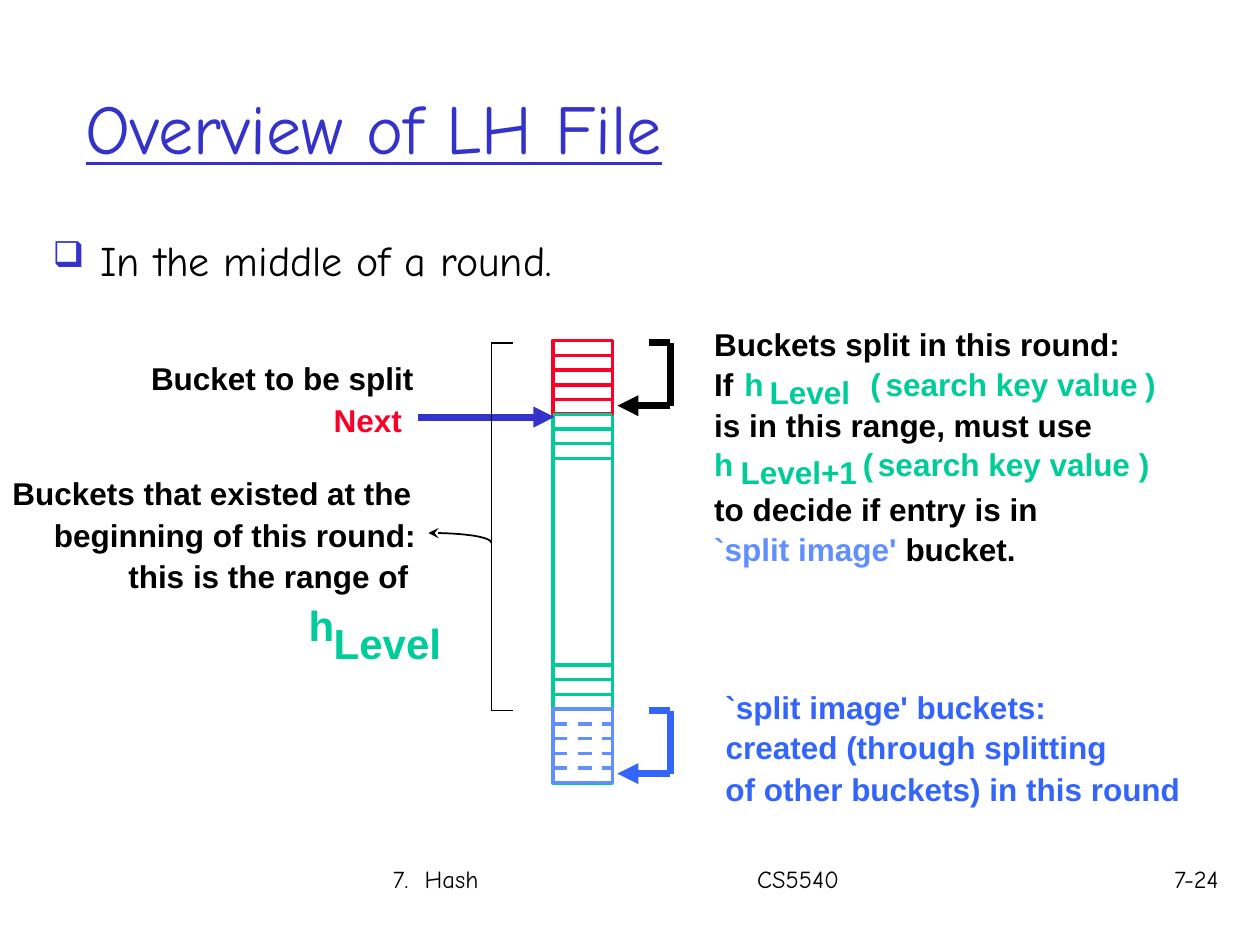
import itertools
import pptx
import pptx.util
import pptx.dml.color
import pptx.enum.dml
import pptx.enum.shapes
import pptx.enum.text
import pptx.oxml
import pptx.oxml.ns

THEME = {
    "black": "000000", "indigo": "3333CC", "green": "00CC99",
    "red": "FC0128", "blue": "3365FB", "sky": "618FFD",
    "heading font": "Comic Neue", "label font": "Arial",
    "title": 40, "body": 24, "symbol": 24, "label": 18, "footer": 14,
    "thin": 1, "bucket": 2, "thick": 4,
}
UNIT = pptx.util.Inches(0.1)  # the slide is a grid of 100 columns by 75 rows
LEFT = pptx.enum.text.PP_ALIGN.LEFT
RIGHT = pptx.enum.text.PP_ALIGN.RIGHT


def write(shape, text, size, color, font="heading font", align=LEFT):
    shape.text_frame.text = text
    paragraph = shape.text_frame.paragraphs[0]
    paragraph.alignment = align
    for run in paragraph.runs:
        run.font.name = THEME[font]
        run.font.size = pptx.util.Pt(THEME[size])
        run.font.bold = font == "label font"
        run.font.color.rgb = pptx.dml.color.RGBColor.from_string(THEME[color])
    return paragraph


def draw_path(points, color, weight, arrow=False):
    """Join the points with straight lines; an arrow sits at the last point."""
    for start, end in itertools.pairwise(points):
        line = slide.shapes.add_connector(
            pptx.enum.shapes.MSO_CONNECTOR.STRAIGHT,
            *(int(value * UNIT) for value in (*start, *end)))
        line.line.color.rgb = pptx.dml.color.RGBColor.from_string(THEME[color])
        line.line.width = pptx.util.Pt(THEME[weight])
        line._element.spPr.append(pptx.oxml.parse_xml(
            f"<a:effectLst {pptx.oxml.ns.nsdecls('a')}/>"))
        if arrow and end == points[-1]:
            line.line._get_or_add_ln().append(pptx.oxml.parse_xml(
                f"<a:tailEnd {pptx.oxml.ns.nsdecls('a')} type='triangle'/>"))
    return line


presentation = pptx.Presentation()
presentation.slide_width = 100 * UNIT
presentation.slide_height = 75 * UNIT
slide = presentation.slides.add_slide(presentation.slide_layouts[5])

# Title, bullet line and footer
title = slide.shapes.title
title.left, title.top, title.width, title.height = (
    int(value * UNIT) for value in (5.8, 5.1, 85, 9.9))
title.text_frame.vertical_anchor = pptx.enum.text.MSO_ANCHOR.MIDDLE
write(title, "Overview of LH File", "title", "indigo").runs[0].font.underline = True

page_texts = [
    ("In the middle of a round.", (3.2, 18.1, 91.7, 10.8), "body", LEFT),
    ("7.  Hash\tCS5540", (30.2, 68.1, 59.9, 5), "footer", LEFT),
    ("7-24", (90.3, 68.1, 7.4, 5), "footer", RIGHT),
]
paragraphs = []
for text, area, size, align in page_texts:
    box = slide.shapes.add_textbox(*(int(value * UNIT) for value in area))
    box.text_frame.word_wrap = True
    paragraphs.append(write(box, text, size, "black", align=align))

bullet, footer, page_number = paragraphs
bullet.space_before = pptx.util.Pt(6)
bullet_properties = bullet._p.get_or_add_pPr()
bullet_properties.set("marL", str(int(3.8 * UNIT)))
bullet_properties.set("indent", str(int(-3.8 * UNIT)))
for tag in (f"buClr {pptx.oxml.ns.nsdecls('a')}><a:srgbClr val='{THEME['indigo']}'/></a:buClr",
            f"buSzPct {pptx.oxml.ns.nsdecls('a')} val='85000'/",
            f"buChar {pptx.oxml.ns.nsdecls('a')} char='❑'/"):
    bullet_properties.append(pptx.oxml.parse_xml(f"<a:{tag}>"))
footer._p.get_or_add_pPr().append(pptx.oxml.parse_xml(
    f"<a:tabLst {pptx.oxml.ns.nsdecls('a')}>"
    f"<a:tab pos='{int(28.9 * UNIT)}' algn='l'/></a:tabLst>"))

# Labels: text, left, top, width, colour
labels = [
    ("Bucket to be split", 11, 28, 23.5, "black"),
    ("Next", 25.5, 31.3, 7.4, "red"),
    ("Buckets that existed at the", 0, 37.1, 33.7, "black"),
    ("beginning of this round:", 3.3, 40.5, 31.4, "black"),
    ("this is the range of", 9.2, 43.7, 24.2, "black"),
    ("Buckets split in this round:", 55.7, 25.3, 34.2, "black"),
    ("If", 55.7, 28.5, 4.2, "black"),
    ("h", 58.1, 28.5, 4.2, "green"),
    ("Level", 60.1, 29.1, 8.4, "green"),
    ("(", 68.1, 28.5, 2.8, "green"),
    ("search key value", 69.3, 28.5, 22.7, "green"),
    (")", 89.9, 28.5, 2.9, "green"),
    ("is in this range, must use", 55.7, 31.7, 32, "black"),
    ("h", 55.7, 34.8, 4.2, "green"),
    ("Level+1", 57.8, 35.5, 11.6, "green"),
    ("(", 67.5, 34.8, 2.8, "green"),
    ("search key value", 68.7, 34.8, 22.7, "green"),
    (")", 89.4, 34.8, 2.8, "green"),
    ("to decide if entry is in", 55.7, 38.4, 28.4, "black"),
    ("`split image' ", 55.7, 41.6, 25.9, "sky"),
    ("`split image' buckets:", 56.6, 54.1, 28, "blue"),
    ("created (through splitting", 56.6, 57.3, 32.5, "blue"),
    ("of other buckets) in this round", 56.6, 60.6, 38.3, "blue"),
]
symbols = [("h", 23.5, 47.1, 4.9, "green"), ("Level", 25.5, 48.5, 10.5, "green")]
for size, height, entries in (("label", 4, labels), ("symbol", 5, symbols)):
    for text, left, top, width, color in entries:
        box = slide.shapes.add_textbox(
            *(int(value * UNIT) for value in (left, top, width, height)))
        box.text_frame.word_wrap = False
        box.text_frame.auto_size = pptx.enum.text.MSO_AUTO_SIZE.SHAPE_TO_FIT_TEXT
        paragraph = write(box, text, size, color, "label font")
        if color == "sky":
            last_word = paragraph.add_run()
            last_word.text = "bucket."
            last_word.font.name = THEME["label font"]
            last_word.font.size = pptx.util.Pt(THEME[size])
            last_word.font.bold = True
            last_word.font.color.rgb = pptx.dml.color.RGBColor.from_string(THEME["black"])

# The file: thirty equal buckets, top to bottom
file_left, file_right, file_top, bucket_height = 43.9, 48.6, 27.03, 1.17
for first, last, color in ((0, 30, "green"), (25, 30, "sky"), (0, 5, "red")):
    frame = slide.shapes.add_shape(
        pptx.enum.shapes.MSO_SHAPE.RECTANGLE,
        *(int(value * UNIT) for value in (
            file_left, file_top + first * bucket_height,
            file_right - file_left, (last - first) * bucket_height)))
    frame.shadow.inherit = False
    frame.fill.background()
    frame.line.color.rgb = pptx.dml.color.RGBColor.from_string(THEME[color])
    frame.line.width = pptx.util.Pt(THEME["bucket"])

for first, last, color in ((1, 4, "red"), (5, 8, "green"), (22, 24, "green"), (26, 29, "sky")):
    for bucket in range(first, last + 1):
        row = file_top + bucket * bucket_height
        edge = draw_path([(file_left, row), (file_right, row)], color, "bucket")
        if color == "sky":
            edge.line.dash_style = pptx.enum.dml.MSO_LINE.DASH

# Range brackets and pointers
for top, color in ((27.2, "black"), (56.4, "blue")):
    draw_path([(51.5, top), (53.2, top), (53.2, top + 5), (49, top + 5)],
              color, "thick", arrow=True)
draw_path([(33.2, 33.1), (44, 33.1)], "indigo", "thick", arrow=True)
draw_path([(40.7, 27.2), (39, 27.2), (39, 56.4), (40.7, 56.4)], "black", "thin")

# Curved pointer, sampled from a cubic curve
controls = [(34, 42.3), (36.8, 42.3), (39, 42.6), (39, 43.1)]
weights = [((1 - t) ** 3, 3 * t * (1 - t) ** 2, 3 * t * t * (1 - t), t ** 3)
           for t in (step / 16 for step in range(17))]
curve = [tuple(int(UNIT * sum(w * point[axis] for w, point in zip(weight, controls)))
               for axis in (0, 1)) for weight in weights]
builder = slide.shapes.build_freeform(*curve[0])
builder.add_line_segments(curve[1:], close=False)
pointer = builder.convert_to_shape()
pointer.shadow.inherit = False
pointer.fill.background()
pointer.line.color.rgb = pptx.dml.color.RGBColor.from_string(THEME["black"])
pointer.line.width = pptx.util.Pt(THEME["thin"])
pointer.line._get_or_add_ln().append(pptx.oxml.parse_xml(
    f"<a:headEnd {pptx.oxml.ns.nsdecls('a')} type='stealth'/>"))

presentation.save("out.pptx")
